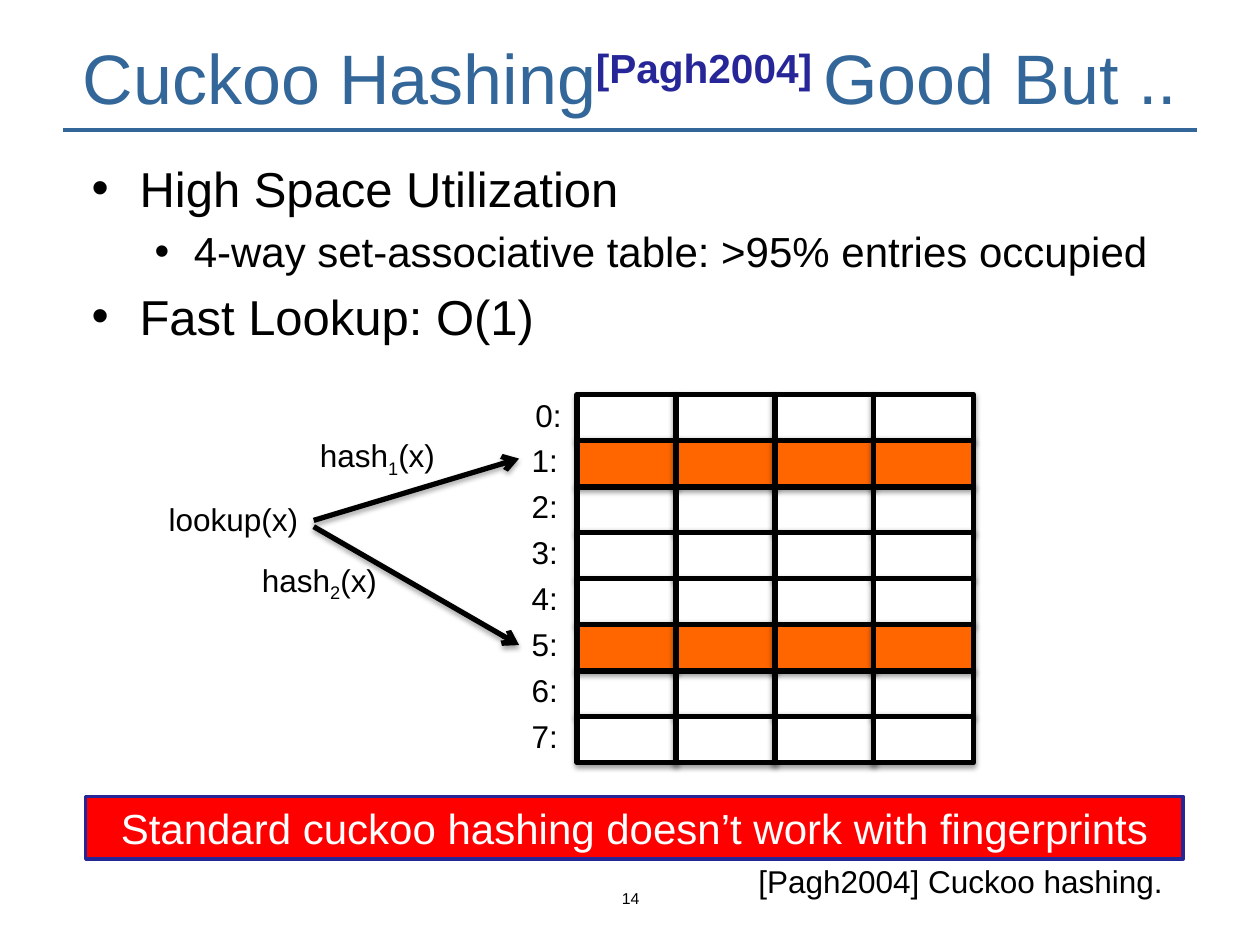
"""Build the slide on cuckoo hashing, its lookup paths and its limits."""
from dataclasses import dataclass, field

from lxml import etree
from pptx import Presentation
from pptx.dml.color import RGBColor
from pptx.enum.shapes import MSO_CONNECTOR, MSO_SHAPE
from pptx.enum.text import MSO_ANCHOR, MSO_AUTO_SIZE, PP_ALIGN
from pptx.oxml.ns import qn
from pptx.util import Inches, Pt

RECTANGLE, STRAIGHT = MSO_SHAPE.RECTANGLE, MSO_CONNECTOR.STRAIGHT
TOP, MIDDLE = MSO_ANCHOR.TOP, MSO_ANCHOR.MIDDLE
LEFT, CENTER = PP_ALIGN.LEFT, PP_ALIGN.CENTER
FIT_TEXT, FIXED = MSO_AUTO_SIZE.SHAPE_TO_FIT_TEXT, MSO_AUTO_SIZE.NONE

BLACK = RGBColor(0x00, 0x00, 0x00)
WHITE = RGBColor(0xFF, 0xFF, 0xFF)
STEEL = RGBColor(0x33, 0x66, 0x99)
INDIGO = RGBColor(0x26, 0x26, 0x97)
CITATION = RGBColor(0x26, 0x26, 0x99)
RED = RGBColor(0xFF, 0x00, 0x00)
ORANGE = RGBColor(0xFF, 0x66, 0x00)

ROWS, COLUMNS, MATCHED_ROWS = 8, 4, (1, 5)
GRID_LEFT, GRID_TOP = 4.58, 3.13
COLUMN_STEP, ROW_STEP = 0.785, 0.365
CELL_WIDTH, CELL_HEIGHT = 0.79, 0.37


@dataclass
class Span:
    text: str
    size: float = 18
    color: RGBColor = BLACK
    bold: bool = False
    baseline: int = 0


@dataclass
class Line:
    spans: list[Span]
    align: PP_ALIGN = LEFT
    indent: tuple[float, float] | None = None
    space_before: float = 0


@dataclass
class Label:
    area: tuple[float, float, float, float]
    lines: list[Line]
    frame: dict = field(default_factory=lambda: {"word_wrap": False, "auto_size": FIT_TEXT})


@dataclass
class Arrow:
    start: tuple[float, float]
    end: tuple[float, float]


def set_values(target, values: dict) -> None:
    """Set each named attribute of the target."""
    for name, value in values.items():
        setattr(target, name, value)


def set_shadow(shape, opacity: int = 0, distance: float = 0) -> None:
    """Replace the theme effect by a downward shadow, or by none."""
    effects = etree.SubElement(shape._element.spPr, qn("a:effectLst"))
    if opacity:
        shadow = etree.SubElement(effects, qn("a:outerShdw"), blurRad=str(Pt(3.1)),
                                  dist=str(Pt(distance)), dir="5400000", rotWithShape="0")
        color = etree.SubElement(shadow, qn("a:srgbClr"), val=str(BLACK))
        etree.SubElement(color, qn("a:alpha"), val=str(opacity * 1000))


def fill_text(text_frame, lines: list[Line], frame: dict) -> None:
    """Write formatted lines into a text frame."""
    set_values(text_frame, frame)
    for index, line in enumerate(lines):
        para = text_frame.add_paragraph() if index else text_frame.paragraphs[0]
        set_values(para, {"alignment": line.align, "space_before": Pt(line.space_before)})
        if line.indent:
            margin, hanging = line.indent
            properties = para._p.get_or_add_pPr()
            properties.set("marL", str(Inches(margin)))
            properties.set("indent", str(Inches(-hanging)))
            etree.SubElement(properties, qn("a:buFont"), typeface="Arial")
            etree.SubElement(properties, qn("a:buChar"), char="•")
        for span in line.spans:
            run = para.add_run()
            run.text = span.text
            set_values(run.font, {"name": "Arial", "size": Pt(span.size), "bold": span.bold})
            run.font.color.rgb = span.color
            if span.baseline:
                run._r.get_or_add_rPr().set("baseline", str(span.baseline * 1000))


def add_label(page, label: Label) -> None:
    """Add a text box."""
    box = page.shapes.add_textbox(*map(Inches, label.area))
    fill_text(box.text_frame, label.lines, label.frame)


def add_box(page, area: tuple, fill: RGBColor, outline: RGBColor, width: float):
    """Add a filled and outlined rectangle."""
    box = page.shapes.add_shape(RECTANGLE, *map(Inches, area))
    box.fill.solid()
    box.fill.fore_color.rgb = fill
    box.line.color.rgb = outline
    box.line.width = Pt(width)
    return box


def add_rule(page, start: tuple, end: tuple, color: RGBColor, width: float):
    """Add a straight line."""
    rule = page.shapes.add_connector(STRAIGHT, *map(Inches, start + end))
    rule.line.color.rgb = color
    rule.line.width = Pt(width)
    return rule


def add_arrow(page, arrow: Arrow) -> None:
    """Add a shadowed line with an open arrowhead."""
    rule = add_rule(page, arrow.start, arrow.end, BLACK, 3)
    etree.SubElement(rule._element.spPr.find(qn("a:ln")), qn("a:tailEnd"), type="arrow")
    set_shadow(rule, 35, 1.8)


def add_cells(page, rows: list[int], fill: RGBColor) -> None:
    """Add the table entries of the given rows."""
    for column in range(COLUMNS):
        for row in rows:
            area = (GRID_LEFT + column * COLUMN_STEP, GRID_TOP + row * ROW_STEP,
                    CELL_WIDTH, CELL_HEIGHT)
            set_shadow(add_box(page, area, fill, BLACK, 3), 38, 1.6)


def hash_label(left: float, top: float, number: str) -> Label:
    """Describe the label of one hash function."""
    spans = [Span("hash"), Span(number, baseline=-25), Span("(x)")]
    return Label((left, top, 1.14, 0.4), [Line(spans)])


TITLE = [Span("Cuckoo Hashing", 40, STEEL), Span("[Pagh2004] ", 40, CITATION, True, 30),
         Span("Good But ..", 40, STEEL)]
BODY = [
    Line([Span("High Space Utilization", 28)], indent=(0.38, 0.38)),
    Line([Span("4-way set-associative table: >95% entries occupied", 24)],
         indent=(0.81, 0.31), space_before=4.8),
    Line([Span("Fast Lookup: O(1)", 28)], indent=(0.38, 0.38), space_before=5.6),
]
NUMBER_FRAME = {"word_wrap": True, "auto_size": FIXED, "vertical_anchor": TOP,
                "margin_top": Inches(0.06), "margin_bottom": Inches(0.06)}
LABELS = [
    Label((0, 0.23, 10, 0.75), [Line(TITLE, CENTER)],
          {"word_wrap": True, "vertical_anchor": MIDDLE}),
    Label((0.63, 1.21, 8.76, 5.08), BODY, {"word_wrap": True}),
    Label((4.03, 6.99, 1.95, 0.23), [Line([Span("14", 9)], CENTER)], NUMBER_FRAME),
    Label((5.92, 6.79, 3.51, 0.4), [Line([Span("[Pagh2004] Cuckoo hashing.")])]),
    Label((1.24, 3.92, 1.25, 0.4), [Line([Span("lookup(x)")])]),
    hash_label(2.44, 3.41, "1"),
    hash_label(1.98, 4.4, "2"),
]
ARROWS = [Arrow((2.49, 4.13), (4.12, 3.64)), Arrow((2.49, 4.18), (4.12, 5.12))]


def main() -> None:
    """Build and save the deck."""
    deck = Presentation()
    set_values(deck, {"slide_width": Inches(10), "slide_height": Inches(7.5)})
    page = deck.slides.add_slide(deck.slide_layouts[6])
    set_shadow(add_rule(page, (0.5, 1.03), (9.5, 1.03), STEEL, 2))
    add_cells(page, [row for row in range(ROWS) if row not in MATCHED_ROWS], WHITE)
    add_cells(page, list(MATCHED_ROWS), ORANGE)
    for row in range(ROWS):
        area = (4.12 if row else 4.15, GRID_TOP - 0.04 + row * ROW_STEP, 0.41, 0.4)
        add_label(page, Label(area, [Line([Span(f"{row}:")])]))
    for arrow in ARROWS:
        add_arrow(page, arrow)
    banner = add_box(page, (0.68, 6.32, 8.71, 0.5), RED, INDIGO, 2)
    set_shadow(banner)
    message = Span("Standard cuckoo hashing doesn’t work with fingerprints", 24, WHITE)
    fill_text(banner.text_frame, [Line([message], CENTER)],
              {"word_wrap": True, "auto_size": FIT_TEXT, "vertical_anchor": MIDDLE})
    for label in LABELS:
        add_label(page, label)
    deck.save("out.pptx")


if __name__ == "__main__":
    main()
